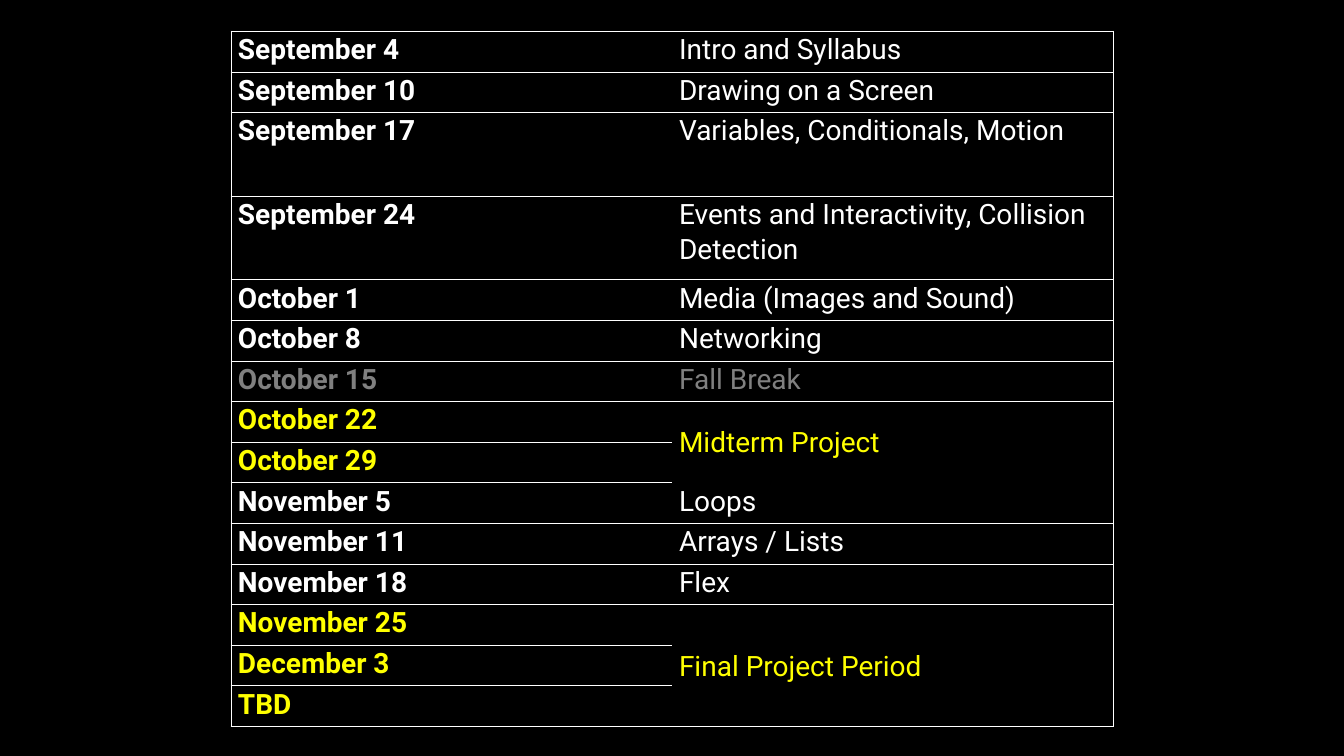
from lxml import etree
from pptx import Presentation
from pptx.dml.color import RGBColor
from pptx.enum import text
from pptx.oxml import ns
from pptx.util import Inches, Pt

BLACK = RGBColor(0, 0, 0)
WHITE = RGBColor(255, 255, 255)
GRAY = RGBColor(128, 128, 128)
YELLOW = RGBColor(255, 255, 0)
PLAIN = "{2D5ABB26-0587-4C30-8999-92F81FD0307C}"

WEEKS = [
    ("September 4", "Intro and Syllabus", WHITE),
    ("September 10", "Drawing on a Screen", WHITE),
    ("September 17", "Variables, Conditionals, Motion", WHITE),
    ("September 24", "Events and Interactivity, Collision Detection", WHITE),
    ("October 1", "Media (Images and Sound)", WHITE),
    ("October 8", "Networking", WHITE),
    ("October 15", "Fall Break", GRAY),
    ("October 22", "Midterm Project", YELLOW),
    ("October 29", None, YELLOW),
    ("November 5", "Loops", WHITE),
    ("November 11", "Arrays / Lists", WHITE),
    ("November 18", "Flex", WHITE),
    ("November 25", "Final Project Period", YELLOW),
    ("December 3", None, YELLOW),
    ("TBD", None, YELLOW),
]
TALL = {2, 3}
SPANS = {7: 8, 12: 14}
WIDTH, HEIGHT, DEEP = 8.75, 6.9, 0.83
LOW = (HEIGHT - DEEP * len(TALL)) / (len(WEEKS) - len(TALL))


def border(cell, sides):
    props = cell._tc.get_or_add_tcPr()
    for side in sides:
        line = etree.SubElement(props, ns.qn("a:ln" + side), w=str(Pt(0.5)))
        fill = etree.SubElement(line, ns.qn("a:solidFill"))
        etree.SubElement(fill, ns.qn("a:srgbClr"), val=str(WHITE))


def write(cell, words, color, bold):
    cell.text_frame.text = words
    par = cell.text_frame.paragraphs[0]
    par.line_spacing = 1.07
    font = par.runs[0].font
    font.name = "Roboto"
    font.size = Pt(20)
    font.bold = bold
    font.color.rgb = color


prs = Presentation()
prs.slide_width = Inches(13.33)
prs.slide_height = Inches(7.5)
slide = prs.slides.add_slide(prs.slide_layouts[6])
slide.background.fill.solid()
slide.background.fill.fore_color.rgb = BLACK

frame = slide.shapes.add_table(
    len(WEEKS), 2, Inches(2.29), Inches(0.31), Inches(WIDTH), Inches(HEIGHT))
table = frame.table
table.first_row = False
table.horz_banding = False
table._tbl.tblPr.find(ns.qn("a:tableStyleId")).text = PLAIN
for col in table.columns:
    col.width = Inches(WIDTH / 2)

for row, (date, topic, color) in enumerate(WEEKS):
    table.rows[row].height = Inches(DEEP if row in TALL else LOW)
    rules = "TB" if row % 2 == 0 else ""
    for col, words in enumerate((date, topic)):
        cell = table.cell(row, col)
        cell.margin_left = cell.margin_right = Inches(0.07)
        cell.margin_top = cell.margin_bottom = 0
        if words:
            border(cell, "LR"[col] + rules)
            write(cell, words, color, col == 0)
        cell.fill.background()

for first, last in SPANS.items():
    cell = table.cell(first, 1)
    cell.merge(table.cell(last, 1))
    cell.vertical_anchor = text.MSO_ANCHOR.MIDDLE

prs.save("out.pptx")
